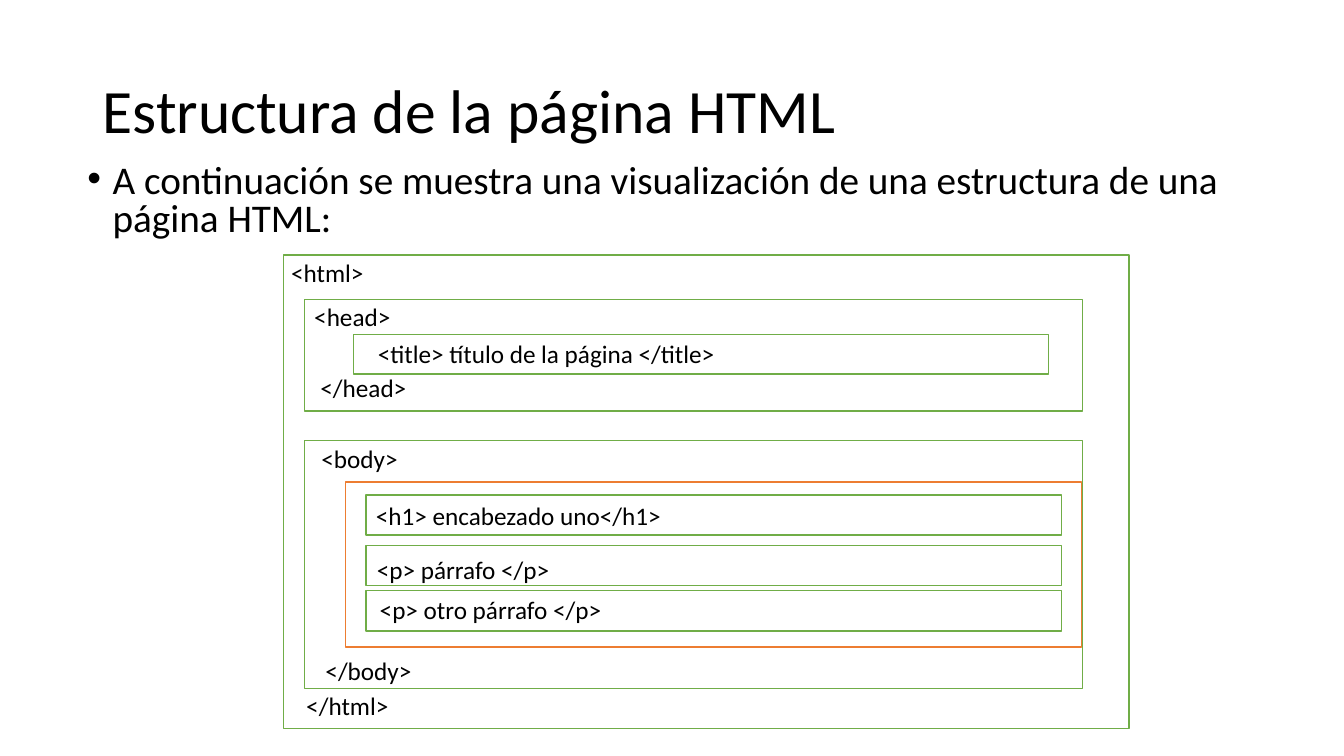
import pptx
import pptx.util
import pptx.dml.color
import pptx.enum.shapes
import pptx.enum.text
import lxml.etree

Pt = pptx.util.Pt
Anchor = pptx.enum.text.MSO_ANCHOR
GREEN, ORANGE, WHITE, BLACK = "70AD47", "ED7D31", "FFFFFF", "000000"

# Content: all lengths in points
TITLE = "Estructura de la página HTML"
INTRO = ("A continuación se muestra una visualización de una estructura "
         "de una página HTML:")
# Nested frames: left, top, width, height, line colour
FRAMES = [
    (202.3, 182.2, 604.1, 338.4, GREEN),   # html
    (217.4, 213.8, 555.8, 79.9, GREEN),    # head
    (252.7, 239, 496.1, 28.1, GREEN),      # title
    (217.4, 314.6, 555.8, 177.1, GREEN),   # body
    (247, 344.2, 525.6, 118.1, ORANGE),    # body content
]
# Element rows inside the body: top, text centred in the row
ROW_LEFT, ROW_WIDTH, ROW_HEIGHT = 261.4, 496.8, 28.8
ROWS = [(353.5, "<h1> encabezado uno</h1>"), (389.5, ""), (421.9, "")]
# Tag labels: text, left, top, width
LABEL_HEIGHT = 29.1
LABELS = [
    ("<html>", 200.9, 180, 67),
    ("<head>", 217.4, 211.7, 69.8),
    ("<title> título de la página </title>", 262.8, 238.3, 258.5),
    ("</head>", 221.8, 262.1, 77),
    ("<body>", 222.5, 313.2, 69.8),
    ("<p> párrafo </p>", 262.1, 392.4, 139.7),
    ("<p> otro párrafo </p>", 264.2, 421.2, 175),
    ("</body>", 225.4, 464.4, 77),
    ("</html>", 211.7, 489.6, 74.2),
]


def color(value):
    return pptx.dml.color.RGBColor.from_string(value)


def write(box, text, size, wrap=True, anchor=Anchor.TOP):
    frame = box.text_frame
    frame.word_wrap = wrap
    frame.vertical_anchor = anchor
    para = frame.paragraphs[0]
    para.text = text
    para.alignment = pptx.enum.text.PP_ALIGN.LEFT
    para.font.size = Pt(size)
    para.font.name = "Calibri"
    para.font.color.rgb = color(BLACK)
    return para


def add_text(left, top, width, height, *args, **options):
    box = page.shapes.add_textbox(Pt(left), Pt(top), Pt(width), Pt(height))
    return write(box, *args, **options)


def add_frame(left, top, width, height, line):
    box = page.shapes.add_shape(pptx.enum.shapes.MSO_SHAPE.RECTANGLE,
                                Pt(left), Pt(top), Pt(width), Pt(height))
    box.shadow.inherit = False
    box.fill.solid()
    box.fill.fore_color.rgb = color(WHITE)
    box.line.color.rgb = color(line)
    box.line.width = Pt(1)
    return box


def add_bullet(para, indent):
    properties = para._p.get_or_add_pPr()
    properties.set("marL", str(Pt(indent)))
    properties.set("indent", str(-Pt(indent)))
    namespace = pptx.oxml.ns.qn("a:buFont"), pptx.oxml.ns.qn("a:buChar")
    font, char = namespace
    lxml.etree.SubElement(properties, font).set("typeface", "Arial")
    lxml.etree.SubElement(properties, char).set("char", "•")
    # Bullet elements must come before the default run properties
    defaults = properties.find(pptx.oxml.ns.qn("a:defRPr"))
    if defaults is not None:
        properties.append(defaults)


deck = pptx.Presentation()
deck.slide_width, deck.slide_height = Pt(960), Pt(540)
page = deck.slides.add_slide(deck.slide_layouts[6])

# Title and introduction
heading = add_text(66.2, 28.8, 828, 104.4, TITLE, 44, anchor=Anchor.MIDDLE)
heading.line_spacing = 0.9
intro = add_text(55.4, 113.8, 828, 66.2, INTRO, 28)
intro.line_spacing = 0.8
intro.space_before = Pt(10)
add_bullet(intro, 18)

# Nested frames and element rows
for frame_box in FRAMES:
    add_frame(*frame_box)
for top, text in ROWS:
    row = add_frame(ROW_LEFT, top, ROW_WIDTH, ROW_HEIGHT, GREEN)
    if text:
        write(row, text, 18, anchor=Anchor.MIDDLE)

# Tag labels
for text, left, top, width in LABELS:
    add_text(left, top, width, LABEL_HEIGHT, text, 18, wrap=False)

deck.save("out.pptx")
